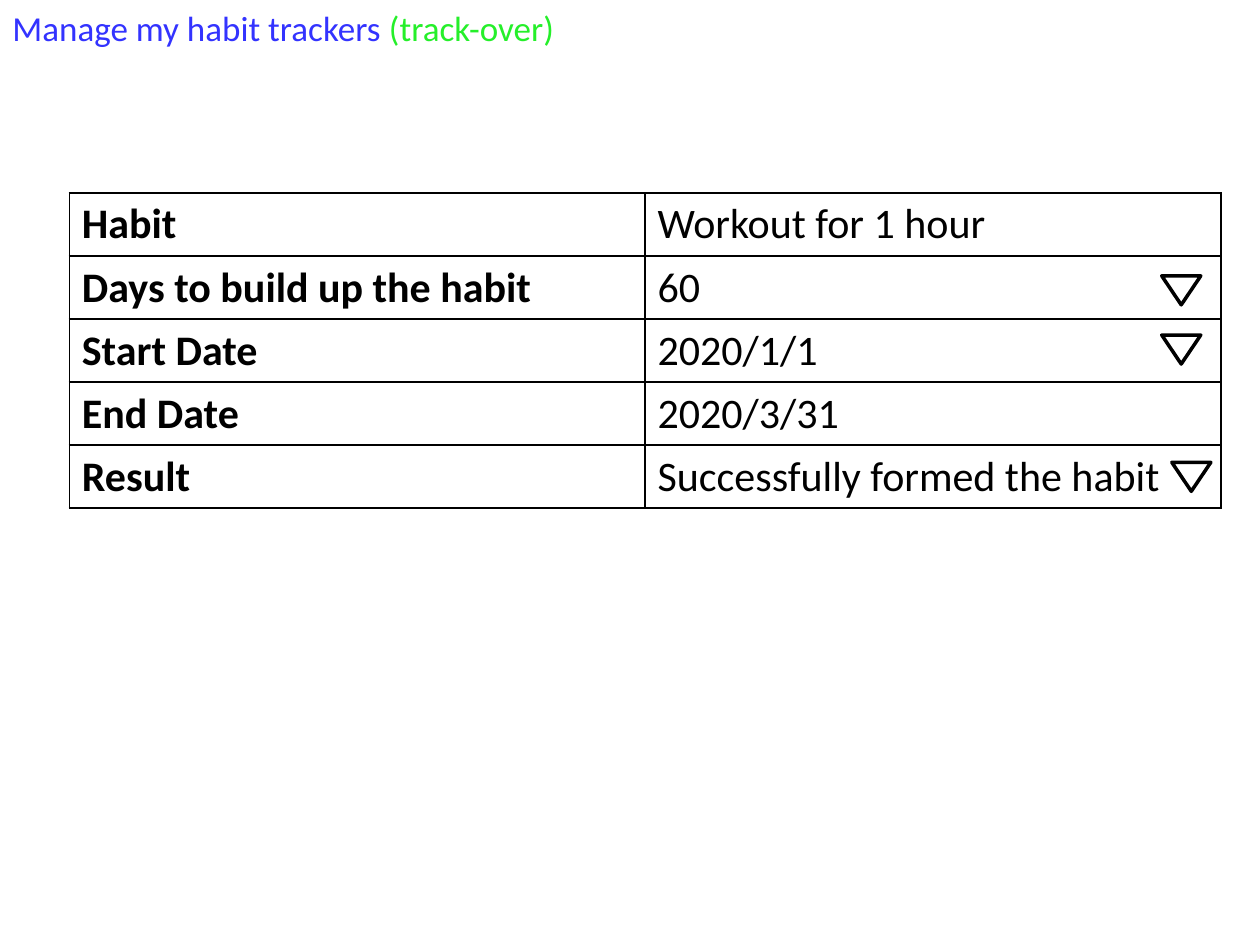
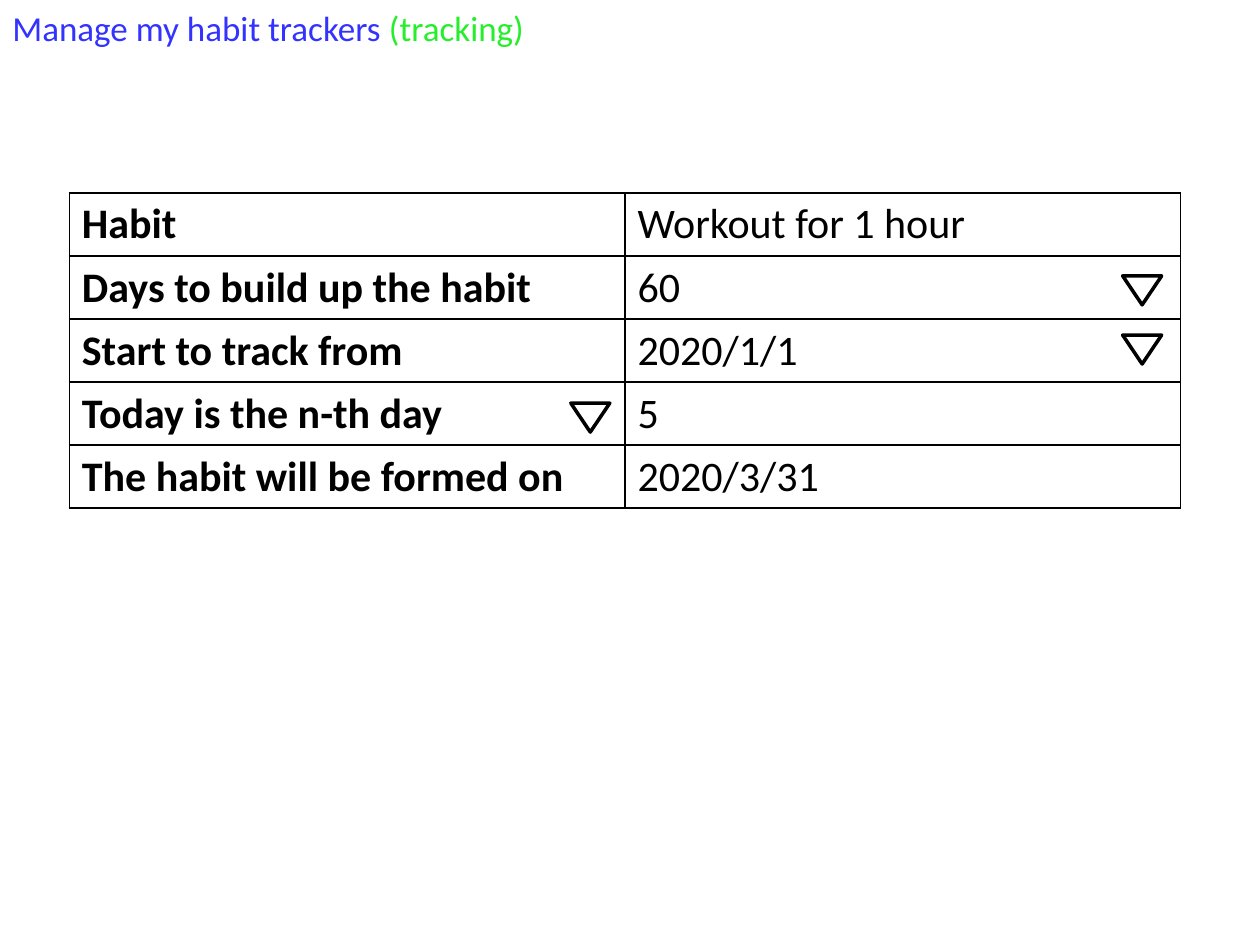
from lxml import etree
from pptx import Presentation
from pptx.dml.color import RGBColor
from pptx.enum import shapes, text
from pptx.oxml import ns
from pptx.util import Inches, Pt

BLACK, BLUE, GREEN = "000000", "3333FF", "25EF2A"
FONT = "Calibri"
TABLE_LEFT, TABLE_TOP, ROW_HEIGHT = 0.55, 1.53, 0.5
ARROW_WIDTH, ARROW_HEIGHT = 0.31, 0.23


def color(value):
    return RGBColor.from_string(value)


class HabitDeck:
    """Holds the shared style and the current slide."""

    def __init__(self):
        self.deck = Presentation()
        self.deck.slide_width, self.deck.slide_height = Inches(10), Inches(7.5)
        self.page = None

    def add_page(self):
        self.page = self.deck.slides.add_slide(self.deck.slide_layouts[6])

    def style(self, span, size, shade, bold=False):
        span.font.name, span.font.size, span.font.bold = FONT, Pt(size), bold
        span.font.color.rgb = color(shade)

    def title(self, state, width):
        box = self.page.shapes.add_textbox(0, 0, Inches(width), Inches(0.44))
        frame = box.text_frame
        frame.word_wrap = False
        frame.auto_size = text.MSO_AUTO_SIZE.SHAPE_TO_FIT_TEXT
        para = frame.paragraphs[0]
        for words, shade in (("Manage my habit trackers ", BLUE), (f"({state})", GREEN)):
            span = para.add_run()
            span.text = words
            self.style(span, 20, shade)

    def border(self, cell):
        properties = cell._tc.get_or_add_tcPr()
        for side in ("lnL", "lnR", "lnT", "lnB"):
            line = etree.SubElement(properties, ns.qn(f"a:{side}"), w=str(Pt(1)))
            fill = etree.SubElement(line, ns.qn("a:solidFill"))
            etree.SubElement(fill, ns.qn("a:srgbClr"), val=BLACK)

    def table(self, rows, column_width):
        frame = self.page.shapes.add_table(
            len(rows), 2, Inches(TABLE_LEFT), Inches(TABLE_TOP),
            Inches(2 * column_width), Inches(ROW_HEIGHT * len(rows)))
        table = frame.table
        table.first_row = table.horz_banding = False
        for column in table.columns:
            column.width = Inches(column_width)
        for r, row in enumerate(rows):
            table.rows[r].height = Inches(ROW_HEIGHT)
            for c, words in enumerate(row):
                cell = table.cell(r, c)
                cell.text_frame.text = words
                self.style(cell.text_frame.paragraphs[0].runs[0], 24, BLACK, bold=c == 0)
                self.border(cell)
                cell.fill.background()

    def dropdown_arrow(self, left, top):
        arrow = self.page.shapes.add_shape(
            shapes.MSO_SHAPE.ISOSCELES_TRIANGLE, Inches(left), Inches(top),
            Inches(ARROW_WIDTH), Inches(ARROW_HEIGHT))
        arrow.element.spPr.xfrm.set("flipV", "1")
        arrow.shadow.inherit = False
        arrow.fill.background()
        arrow.line.color.rgb = color(BLACK)
        arrow.line.width = Pt(2)


# Rows that both trackers share
COMMON_ROWS = [("Habit", "Workout for 1 hour"), ("Days to build up the habit", "60")]

# State, title width, column width, further rows, dropdown positions
TRACKERS = [
    ("track-over", 4.55, 4.57,
     [("Start Date", "2020/1/1"),
      ("End Date", "2020/3/31"),
      ("Result", "Successfully formed the habit")],
     [(9.22, 2.66), (9.22, 2.19), (9.3, 3.67)]),
    ("tracking", 4.3, 4.41,
     [("Start to track from", "2020/1/1"),
      ("Today is the n-th day", "5"),
      ("The habit will be formed on", "2020/3/31")],
     [(8.91, 2.66), (8.91, 2.19), (4.53, 3.2)]),
]


def main():
    habits = HabitDeck()
    for state, title_width, column_width, rows, arrows in TRACKERS:
        habits.add_page()
        habits.title(state, title_width)
        habits.table(COMMON_ROWS + rows, column_width)
        for left, top in arrows:
            habits.dropdown_arrow(left, top)
    habits.deck.save("out.pptx")


if __name__ == "__main__":
    main()
